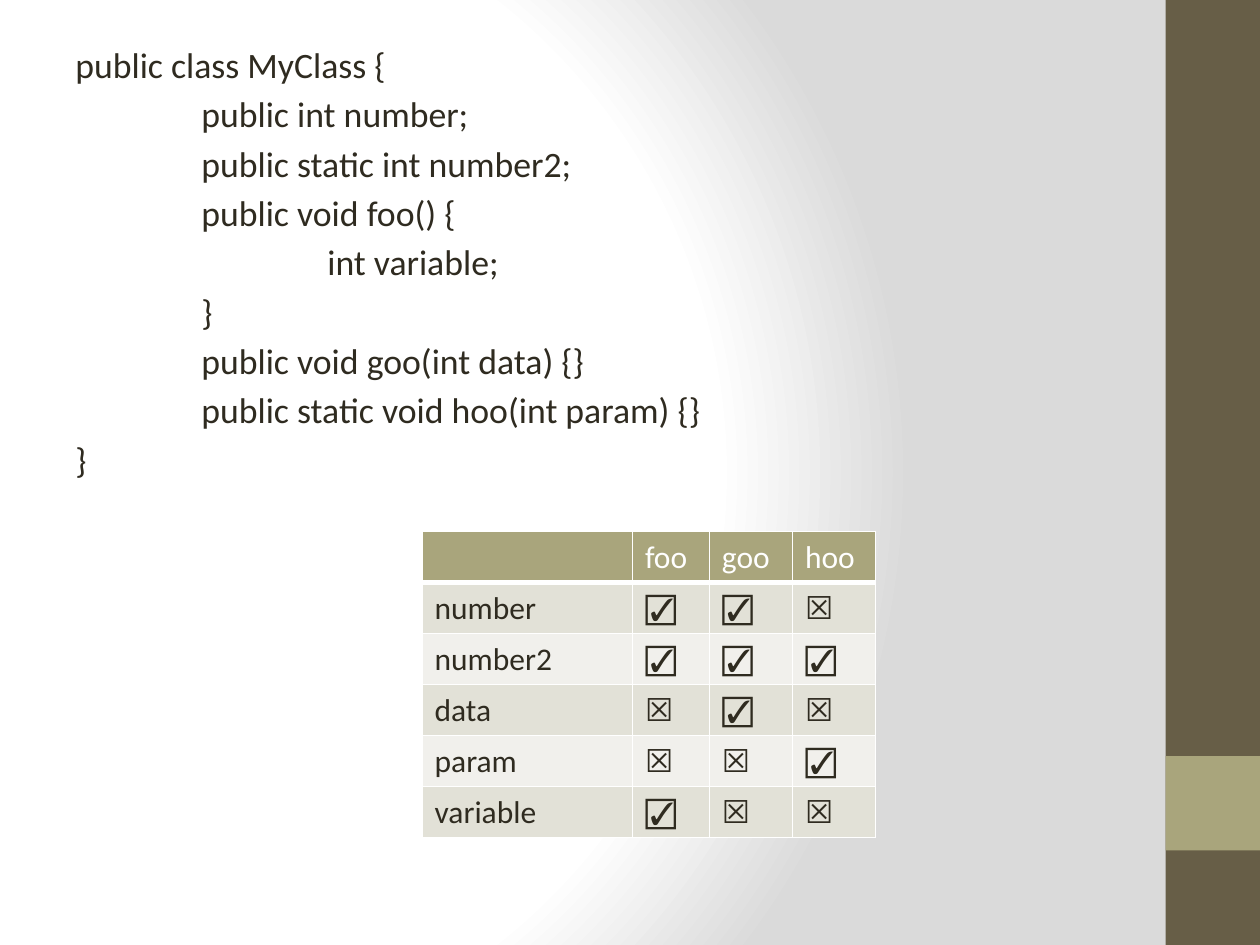
from dataclasses import dataclass

from lxml import etree
from pptx import Presentation
from pptx.dml.color import RGBColor
from pptx.enum.shapes import MSO_SHAPE
from pptx.enum.text import MSO_ANCHOR
from pptx.oxml import parse_xml
from pptx.oxml.ns import nsdecls, qn
from pptx.util import Inches, Pt

COLORS = {
    "ink": "2F2B20",
    "white": "FFFFFF",
    "gray": "DADADA",
    "brown": "675E47",
    "olive": "A9A57C",
    "band_dark": "E2E1D7",
    "band_light": "F1F0EC",
}
FONT = "Calibri"
YES, NO = "\u2611", "\u2612"


@dataclass
class Panel:
    top: float
    height: float
    color: str


@dataclass
class CodeLine:
    depth: int
    text: str


@dataclass
class AccessRow:
    name: str
    marks: tuple[str, str, str]


PANELS = [Panel(0, 7.5, "brown"), Panel(6, 0.75, "olive")]
CODE = [
    CodeLine(0, "public class MyClass {"),
    CodeLine(1, "public int number;"),
    CodeLine(1, "public static int number2;"),
    CodeLine(1, "public void foo() {"),
    CodeLine(2, "int variable;"),
    CodeLine(1, "}"),
    CodeLine(1, "public void goo(int data) {}"),
    CodeLine(1, "public static void hoo(int param) {}"),
    CodeLine(0, "}"),
]
ACCESS = [
    AccessRow("", ("foo", "goo", "hoo")),
    AccessRow("number", (YES, YES, NO)),
    AccessRow("number2", (YES, YES, YES)),
    AccessRow("data", (NO, YES, NO)),
    AccessRow("param", (NO, NO, YES)),
    AccessRow("variable", (YES, NO, NO)),
]
COLUMN_WIDTHS = [1.67, 0.61, 0.66, 0.66]
ROW_HEIGHT = 0.405


def rgb(name: str) -> RGBColor:
    return RGBColor.from_string(COLORS[name])


def style_font(font, size: float, color: str) -> None:
    font.name = FONT
    font.size = Pt(size)
    font.color.rgb = rgb(color)


def set_background(slide) -> None:
    stops = "".join(
        f'<a:gs pos="{position * 1000}"><a:srgbClr val="{COLORS[color]}"/></a:gs>'
        for position, color in [(0, "white"), (75, "white"), (100, "gray")]
    )
    background = parse_xml(
        f'<p:bg {nsdecls("p", "a")}><p:bgPr><a:gradFill rotWithShape="1">'
        f'<a:gsLst>{stops}</a:gsLst><a:path path="circle">'
        '<a:fillToRect l="20000" t="50000" r="100000" b="50000"/></a:path>'
        "</a:gradFill><a:effectLst/></p:bgPr></p:bg>"
    )
    slide.element.cSld.insert(0, background)


def add_panel(slide, panel: Panel) -> None:
    shape = slide.shapes.add_shape(
        MSO_SHAPE.RECTANGLE, Inches(9.25), Inches(panel.top), Inches(0.75), Inches(panel.height)
    )
    shape.shadow.inherit = False
    shape.fill.solid()
    shape.fill.fore_color.rgb = rgb(panel.color)
    shape.line.fill.background()


def add_code(slide, lines: list[CodeLine]) -> None:
    box = slide.shapes.add_textbox(Inches(0.5), Inches(0.29), Inches(9), Inches(3.62))
    frame = box.text_frame
    frame.word_wrap = True
    for index, line in enumerate(lines):
        paragraph = frame.add_paragraph() if index else frame.paragraphs[0]
        paragraph.space_before = Pt(3.7)
        paragraph._p.get_or_add_pPr().set("marL", str(Inches(line.depth)))
        run = paragraph.add_run()
        run.text = line.text
        style_font(run.font, 20.4, "ink")


def set_borders(cell, bottom: float) -> None:
    properties = cell._tc.get_or_add_tcPr()
    for index, (side, width) in enumerate([("lnL", 1), ("lnR", 1), ("lnT", 1), ("lnB", bottom)]):
        line = etree.Element(qn(f"a:{side}"), w=str(Pt(width)))
        fill = etree.SubElement(line, qn("a:solidFill"))
        etree.SubElement(fill, qn("a:srgbClr"), val=COLORS["white"])
        properties.insert(index, line)


def add_access_table(slide, rows: list[AccessRow]) -> None:
    table = slide.shapes.add_table(
        len(rows), len(COLUMN_WIDTHS), Inches(3.35), Inches(4.22),
        Inches(sum(COLUMN_WIDTHS)), Inches(ROW_HEIGHT * len(rows)),
    ).table
    for column, width in zip(table.columns, COLUMN_WIDTHS):
        column.width = Inches(width)
    for row_index, row in enumerate(rows):
        header = row_index == 0
        band = "olive" if header else "band_dark" if row_index % 2 else "band_light"
        table.rows[row_index].height = Inches(ROW_HEIGHT)
        for column_index, text in enumerate((row.name, *row.marks)):
            cell = table.cell(row_index, column_index)
            cell.vertical_anchor = MSO_ANCHOR.TOP
            cell.fill.solid()
            cell.fill.fore_color.rgb = rgb(band)
            set_borders(cell, 3 if header else 1)
            paragraph = cell.text_frame.paragraphs[0]
            style_font(paragraph.font, 18, "white" if header else "ink")
            if text:
                run = paragraph.add_run()
                run.text = text
                style_font(run.font, 18, "white" if header else "ink")
                run.font.bold = False


def main() -> None:
    presentation = Presentation()
    presentation.slide_width = Inches(10)
    presentation.slide_height = Inches(7.5)
    slide = presentation.slides.add_slide(presentation.slide_layouts[6])
    set_background(slide)
    for panel in PANELS:
        add_panel(slide, panel)
    add_code(slide, CODE)
    add_access_table(slide, ACCESS)
    presentation.save("out.pptx")


main()
